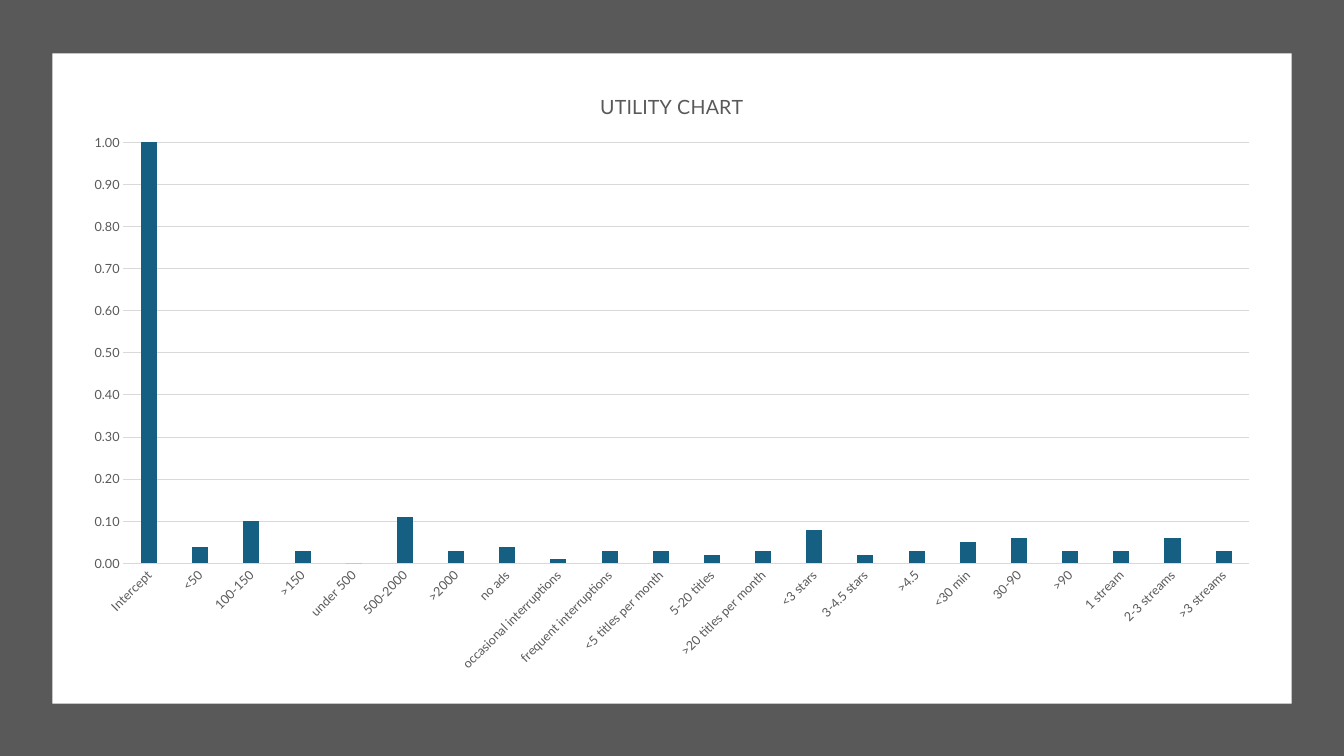
"""Build a slide with a framed utility column chart."""
from lxml import etree
from pptx import Presentation
from pptx.chart.data import CategoryChartData
from pptx.dml.color import RGBColor
from pptx.enum.chart import XL_CHART_TYPE, XL_TICK_MARK
from pptx.enum.shapes import MSO_SHAPE
from pptx.oxml.ns import qn
from pptx.util import Inches, Pt

RECT = MSO_SHAPE.RECTANGLE
COLUMN = XL_CHART_TYPE.COLUMN_CLUSTERED
NONE = XL_TICK_MARK.NONE
COLORS = {"dark": "595959", "white": "FFFFFF", "grid": "D9D9D9", "bar": "156082"}
UTILS = {
    "Intercept": 1, "<50": 0.04, "100-150": 0.1, ">150": 0.03,
    "under 500": 0, "500-2000": 0.11, ">2000": 0.03,
    "no ads": 0.04, "occasional interruptions": 0.01,
    "frequent interruptions": 0.03, "<5 titles per month": 0.03,
    "5-20 titles": 0.02, ">20 titles per month": 0.03,
    "<3 stars": 0.08, "3-4.5 stars": 0.02, ">4.5": 0.03,
    "<30 min": 0.05, "30-90": 0.06, ">90": 0.03,
    "1 stream": 0.03, "2-3 streams": 0.06, ">3 streams": 0.03,
}
PLOT = {"layoutTarget": "inner", "xMode": "edge", "yMode": "edge",
        "x": "0.044", "y": "0.117", "w": "0.936", "h": "0.686"}


def color(name):
    return RGBColor.from_string(COLORS[name])


def style(font, size):
    looks = {"name": "Lato", "size": Pt(size), "bold": False}
    for key, value in looks.items():
        setattr(font, key, value)
    font.color.rgb = color("dark")


prs = Presentation()
prs.slide_width, prs.slide_height = Inches(13.33), Inches(7.5)
slide = prs.slides.add_slide(prs.slide_layouts[6])

panels = [("dark", 0, 0, 13.33, 7.5), ("white", 0.52, 0.53, 12.29, 6.45)]
for name, *box in panels:
    panel = slide.shapes.add_shape(RECT, *map(Inches, box))
    panel.shadow.inherit = False
    panel.fill.solid()
    panel.fill.fore_color.rgb = color(name)
    panel.line.fill.background()

data = CategoryChartData(number_format="0.00")
data.categories = list(UTILS)
data.add_series("Series 1", list(UTILS.values()))
area = map(Inches, (0.7, 0.7, 11.93, 6.09))
chart = slide.shapes.add_chart(COLUMN, *area, data).chart
style(chart.font, 10)
chart.has_legend = False
chart.has_title = True
title = chart.chart_title.text_frame
title.text = "UTILITY CHART"
style(title.paragraphs[0].runs[0].font, 14)
chart.chart_title.include_in_layout = False

plot = chart.plots[0]
plot.gap_width, plot.overlap = 219, -27
plot.vary_by_categories = False
bars = plot.series[0]
bars.format.fill.solid()
bars.format.fill.fore_color.rgb = color("bar")
bars.invert_if_negative = False

cats, vals = chart.category_axis, chart.value_axis
for axis in (cats, vals):
    axis.major_tick_mark = axis.minor_tick_mark = NONE
    style(axis.tick_labels.font, 9)
scale = {"minimum_scale": 0, "maximum_scale": 1, "major_unit": 0.1,
         "has_major_gridlines": True}
for key, value in scale.items():
    setattr(vals, key, value)
vals.tick_labels.number_format = "0.00"
vals.tick_labels.number_format_is_linked = False
vals.format.line.fill.background()
for line in (cats.format.line, vals.major_gridlines.format.line):
    line.color.rgb = color("grid")
    line.width = Pt(0.75)

cats._element.find(f"{qn('c:txPr')}/{qn('a:bodyPr')}").set("rot", "-2700000")
region = chart._chartSpace.chart.plotArea
layout = region.find(qn("c:layout"))
if layout is None:
    layout = etree.Element(qn("c:layout"))
    region.insert(0, layout)
manual = etree.SubElement(layout, qn("c:manualLayout"))
for key, value in PLOT.items():
    etree.SubElement(manual, qn(f"c:{key}")).set("val", value)

prs.save("out.pptx")
